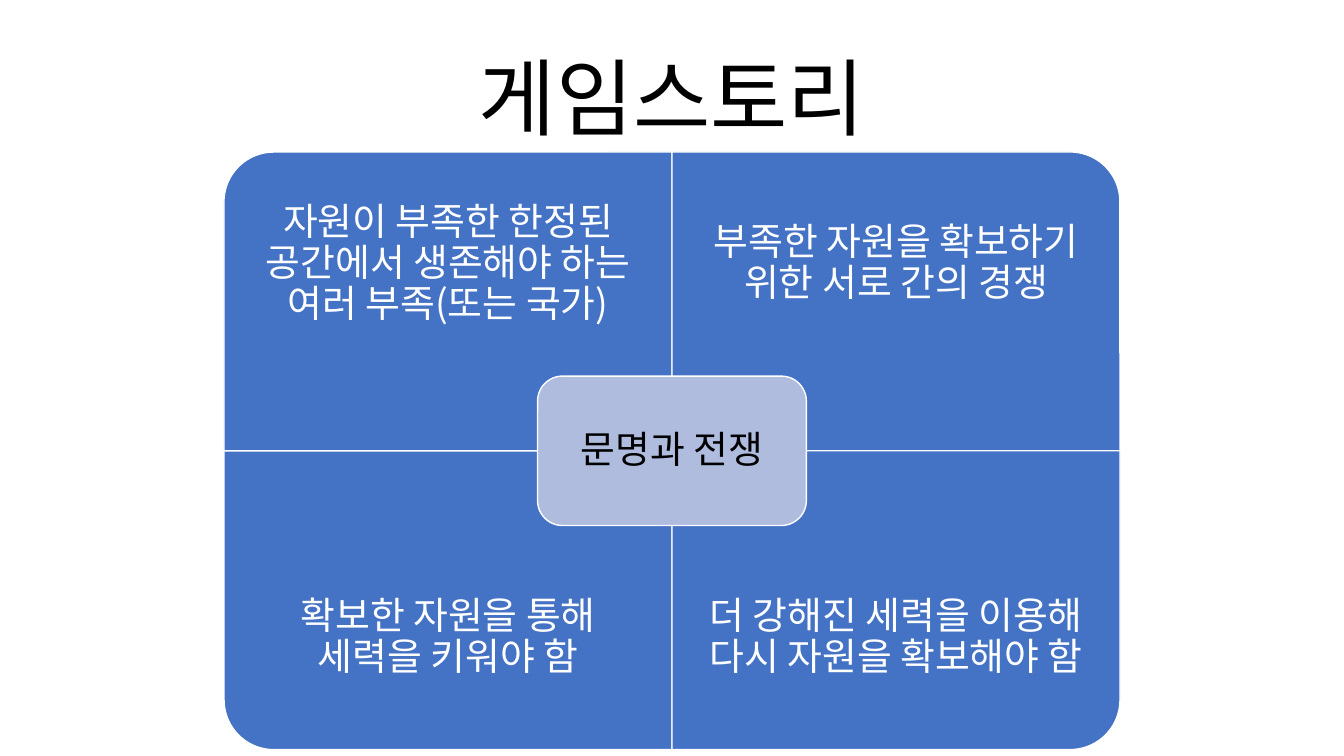
from dataclasses import dataclass

import lxml.etree
import pptx
import pptx.dml.color
import pptx.enum.shapes
import pptx.enum.text
import pptx.oxml.ns
import pptx.util
from pptx.util import Cm

ANCHOR = pptx.enum.text.MSO_ANCHOR
SHAPE = pptx.enum.shapes.MSO_SHAPE


@dataclass(frozen=True)
class Theme:
    """Colours, font and type sizes of the slide."""
    font: str = "Noto Sans CJK KR"
    quadrant: str = "4472C4"
    center: str = "B0BCDE"
    light: str = "FFFFFF"
    dark: str = "000000"
    title_size: int = 60
    body_size: int = 27


@dataclass(frozen=True)
class Box:
    """A rectangle in centimetres."""
    left: float
    top: float
    width: float
    height: float

    def lengths(self) -> tuple:
        """Return the rectangle as lengths for python-pptx."""
        return Cm(self.left), Cm(self.top), Cm(self.width), Cm(self.height)


@dataclass(frozen=True)
class Quadrant:
    """One quarter of the matrix; the rotation points its round corner outward."""
    text: str
    column: int
    row: int
    rotation: int


THEME = Theme()
SLIDE_WIDTH, SLIDE_HEIGHT = 33.87, 19.05
CELL_WIDTH, CELL_HEIGHT = 11.29, 7.53
MIDDLE_X, MIDDLE_Y = SLIDE_WIDTH / 2, 11.36
TEXT_HEIGHT = CELL_HEIGHT * 0.75
CENTER_WIDTH, CENTER_HEIGHT = CELL_WIDTH * 0.6, CELL_HEIGHT / 2
QUADRANTS = (
    Quadrant("자원이 부족한 한정된 공간에서 생존해야 하는 여러 부족(또는 국가)", 0, 0, 270),
    Quadrant("부족한 자원을 확보하기 위한 서로 간의 경쟁", 1, 0, 0),
    Quadrant("확보한 자원을 통해 세력을 키워야 함", 0, 1, 180),
    Quadrant("더 강해진 세력을 이용해 다시 자원을 확보해야 함", 1, 1, 90),
)


def write_text(shape, text: str, size: int, color: str, inset: float, anchor=ANCHOR.MIDDLE) -> None:
    """Write one centred paragraph into a shape."""
    frame = shape.text_frame
    frame.word_wrap = True
    frame.vertical_anchor = anchor
    frame.margin_left = frame.margin_right = Cm(inset)
    frame.margin_top = frame.margin_bottom = Cm(inset)
    paragraph = frame.paragraphs[0]
    paragraph.text = text
    paragraph.alignment = pptx.enum.text.PP_ALIGN.CENTER
    paragraph.line_spacing = 0.9
    font = paragraph.font
    font.size = pptx.util.Pt(size)
    font.color.rgb = pptx.dml.color.RGBColor.from_string(color)
    font.name = THEME.font
    properties = paragraph._p.pPr.find(pptx.oxml.ns.qn("a:defRPr"))
    lxml.etree.SubElement(properties, pptx.oxml.ns.qn("a:ea"), typeface=THEME.font)


def add_panel(slide, kind, box: Box, fill: str, rotation: int = 0):
    """Add a filled shape with a thin light outline."""
    shape = slide.shapes.add_shape(kind, *box.lengths())
    shape.shadow.inherit = False
    shape.rotation = rotation
    shape.fill.solid()
    shape.fill.fore_color.rgb = pptx.dml.color.RGBColor.from_string(fill)
    shape.line.color.rgb = pptx.dml.color.RGBColor.from_string(THEME.light)
    shape.line.width = pptx.util.Pt(1)
    return shape


def add_quadrant(slide, quadrant: Quadrant) -> None:
    """Add a quarter panel and its text, set away from the centre."""
    left = MIDDLE_X + (quadrant.column - 1) * CELL_WIDTH
    top = MIDDLE_Y + (quadrant.row - 1) * CELL_HEIGHT
    width, height = CELL_WIDTH, CELL_HEIGHT
    if quadrant.rotation % 180:
        width, height = height, width
    box = Box(left + (CELL_WIDTH - width) / 2, top + (CELL_HEIGHT - height) / 2, width, height)
    add_panel(slide, SHAPE.ROUND_1_RECTANGLE, box, THEME.quadrant, quadrant.rotation)
    text_top = top + quadrant.row * (CELL_HEIGHT - TEXT_HEIGHT)
    text_box = slide.shapes.add_textbox(*Box(left, text_top, CELL_WIDTH, TEXT_HEIGHT).lengths())
    write_text(text_box, quadrant.text, THEME.body_size, THEME.light, 0.53)


def main() -> None:
    """Build the slide and save it."""
    presentation = pptx.Presentation()
    presentation.slide_width = Cm(SLIDE_WIDTH)
    presentation.slide_height = Cm(SLIDE_HEIGHT)
    slide = presentation.slides.add_slide(presentation.slide_layouts[6])
    title = slide.shapes.add_textbox(*Box(MIDDLE_X - 12.7, 1.02, 25.4, 2.82).lengths())
    write_text(title, "게임스토리", THEME.title_size, THEME.dark, 0.13, ANCHOR.BOTTOM)
    for quadrant in QUADRANTS:
        add_quadrant(slide, quadrant)
    center_box = Box(MIDDLE_X - CENTER_WIDTH / 2, MIDDLE_Y - CENTER_HEIGHT / 2,
                     CENTER_WIDTH, CENTER_HEIGHT)
    center = add_panel(slide, SHAPE.ROUNDED_RECTANGLE, center_box, THEME.center)
    write_text(center, "문명과 전쟁", THEME.body_size, THEME.dark, 0.28)
    presentation.save("out.pptx")


main()
